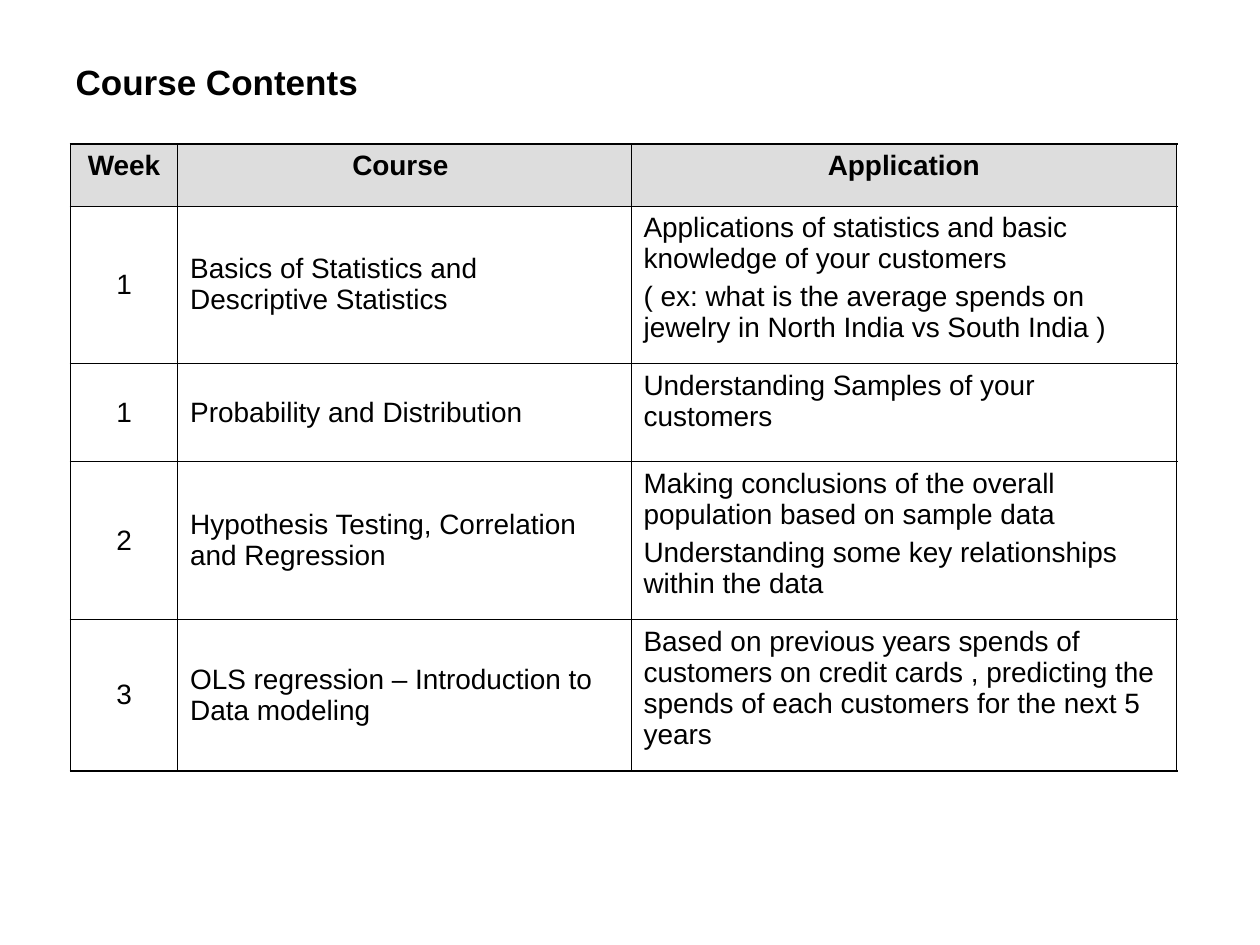
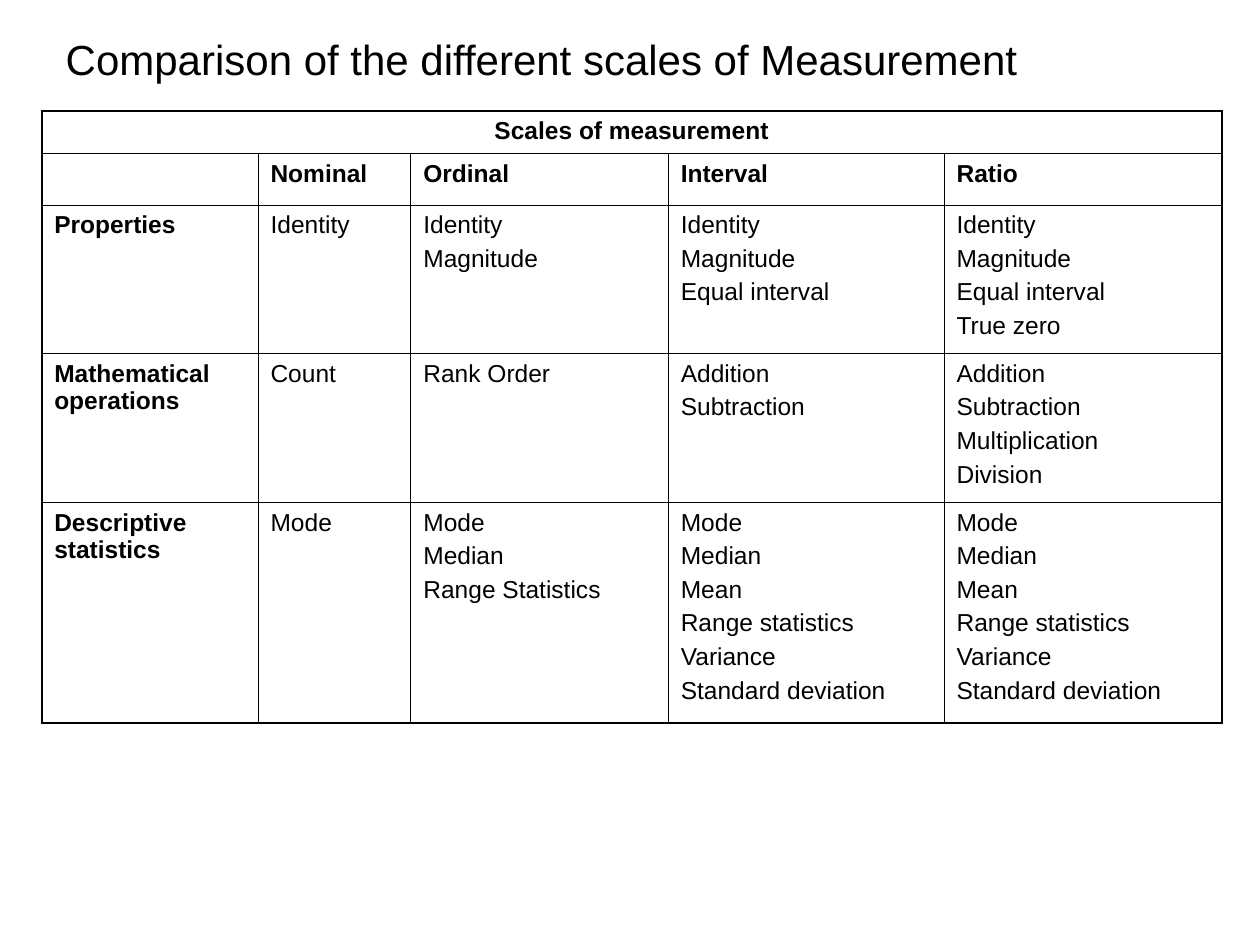
from lxml.etree import SubElement
from pptx import Presentation
from pptx.dml.color import RGBColor
from pptx.enum.text import MSO_ANCHOR, MSO_AUTO_SIZE, PP_ALIGN
from pptx.oxml.ns import qn
from pptx.util import Cm, Pt

LEFT, CENTER = PP_ALIGN.LEFT, PP_ALIGN.CENTER
TOP, MIDDLE = MSO_ANCHOR.TOP, MSO_ANCHOR.MIDDLE
FIXED = MSO_AUTO_SIZE.NONE
FONT = "Arial"
COLORS = {"ink": "000000", "head": "DDDDDD"}
THIN, THICK = Pt(0.45), Pt(1.08)
PLAIN = "{2D5ABB26-0587-4C30-8999-92F81FD0307C}"
TITLE_ONLY = 5


class Deck:
    def __init__(self):
        self.prs = Presentation()
        self.prs.slide_width, self.prs.slide_height = Cm(25.4), Cm(19.05)
        self.slide = None

    def style(self, frame, size, bold=False, align=LEFT, before=0):
        for para in frame.paragraphs:
            para.alignment = align
            para.space_before = Pt(before)
            for run in para.runs:
                run.font.name = FONT
                run.font.size = Pt(size)
                run.font.bold = bold
                run.font.color.rgb = RGBColor.from_string(COLORS["ink"])

    def title(self, text, box, size, bold=False):
        self.slide = self.prs.slides.add_slide(self.prs.slide_layouts[TITLE_ONLY])
        shape = self.slide.shapes.title
        shape.left, shape.top, shape.width, shape.height = map(Cm, box)
        frame = shape.text_frame
        frame.text = text
        frame.auto_size = FIXED
        frame.vertical_anchor = MIDDLE
        self.style(frame, size, bold)

    def border(self, cell, edges):
        props = cell._tc.get_or_add_tcPr()
        for side, outer in edges.items():
            line = SubElement(props, qn(f"a:ln{side}"), w=str(THICK if outer else THIN))
            fill = SubElement(line, qn("a:solidFill"))
            SubElement(fill, qn("a:srgbClr"), val=COLORS["ink"])

    def table(self, left, top, cols, rows, data):
        shape = self.slide.shapes.add_table(
            len(rows), len(cols), Cm(left), Cm(top), Cm(sum(cols)), Cm(sum(rows)))
        table = shape.table
        table.first_row = table.horz_banding = False
        table._tbl.tblPr[0].text = PLAIN
        for col, width in zip(table.columns, cols):
            col.width = Cm(width)
        for row, height in zip(table.rows, rows):
            row.height = Cm(height)
        for r, line in enumerate(data):
            if len(line) < len(cols):
                table.cell(r, 0).merge(table.cell(r, len(cols) - 1))
            for c, text in enumerate(line):
                cell = table.cell(r, c)
                cell.text_frame.text = text
                end = c + (cell.span_width if cell.is_merge_origin else 1)
                self.border(cell, {"L": c == 0, "R": end == len(cols),
                                   "T": r == 0, "B": r == len(rows) - 1})
                cell.fill.background()
        return table

    def format(self, cell, size, bold, align, before, anchor=TOP):
        cell.vertical_anchor = anchor
        self.style(cell.text_frame, size, bold, align, before)

    def shade(self, cell):
        cell.fill.solid()
        cell.fill.fore_color.rgb = RGBColor.from_string(COLORS["head"])


def cells(table):
    for r in range(len(table.rows)):
        for c in range(len(table.columns)):
            yield r, c, table.cell(r, c)


def course(deck):
    deck.title("Course Contents", (1.27, 1.36, 22.86, 0.56), 20, True)
    data = [
        ("Week", "Course ", "Application"),
        ("1", "Basics of Statistics and Descriptive Statistics",
         "Applications of statistics and basic knowledge of your customers\n"
         "( ex: what is the average spends on jewelry in North India vs South India )"),
        ("1", "Probability and Distribution", "Understanding Samples of your customers"),
        ("2", "Hypothesis Testing, Correlation and Regression",
         "Making conclusions of the overall population based on sample data\n"
         "Understanding some key relationships within the data"),
        ("3", "OLS regression – Introduction to Data modeling",
         "Based on previous years spends of customers on credit cards , "
         "predicting the spends of each customers for the next 5 years"),
    ]
    table = deck.table(1.42, 2.9, (2.16, 9.14, 11), (1.25, 3.18, 1.98, 3.18, 3.05), data)
    for r, c, cell in cells(table):
        head = r == 0
        align = CENTER if head or c == 0 else LEFT
        deck.format(cell, 16, head, align, 4, TOP if head or c == 2 else MIDDLE)
        if head:
            deck.shade(cell)


def scales(deck):
    deck.title("Comparison of the different scales of Measurement",
               (1.07, 0.64, 23.8, 1.09), 24)
    traits = ["Identity", "Magnitude", "Equal interval", "True zero"]
    maths = ["Addition", "Subtraction", "Multiplication", "Division"]
    stats = "\n".join(["Mode", "Median", "Mean", "Range statistics",
                       "Variance", "Standard deviation"])
    data = [
        ["Scales of measurement"],
        ["", "Nominal", "Ordinal", "Interval", "Ratio"],
        ["Properties"] + ["\n".join(traits[:n]) for n in range(1, 5)],
        ["Mathematical operations", "Count", "Rank Order",
         "\n".join(maths[:2]), "\n".join(maths)],
        ["Descriptive statistics", "Mode", "Mode\nMedian\nRange Statistics", stats, stats],
    ]
    table = deck.table(0.84, 2.24, (4.36, 3.08, 5.19, 5.56, 5.6),
                       (0.86, 0.97, 3, 3, 4.44), data)
    for r, c, cell in cells(table):
        deck.format(cell, 14, r < 2 or c == 0, CENTER if r == 0 else LEFT, 3.5)


def main():
    deck = Deck()
    course(deck)
    scales(deck)
    deck.prs.save("out.pptx")


if __name__ == "__main__":
    main()
